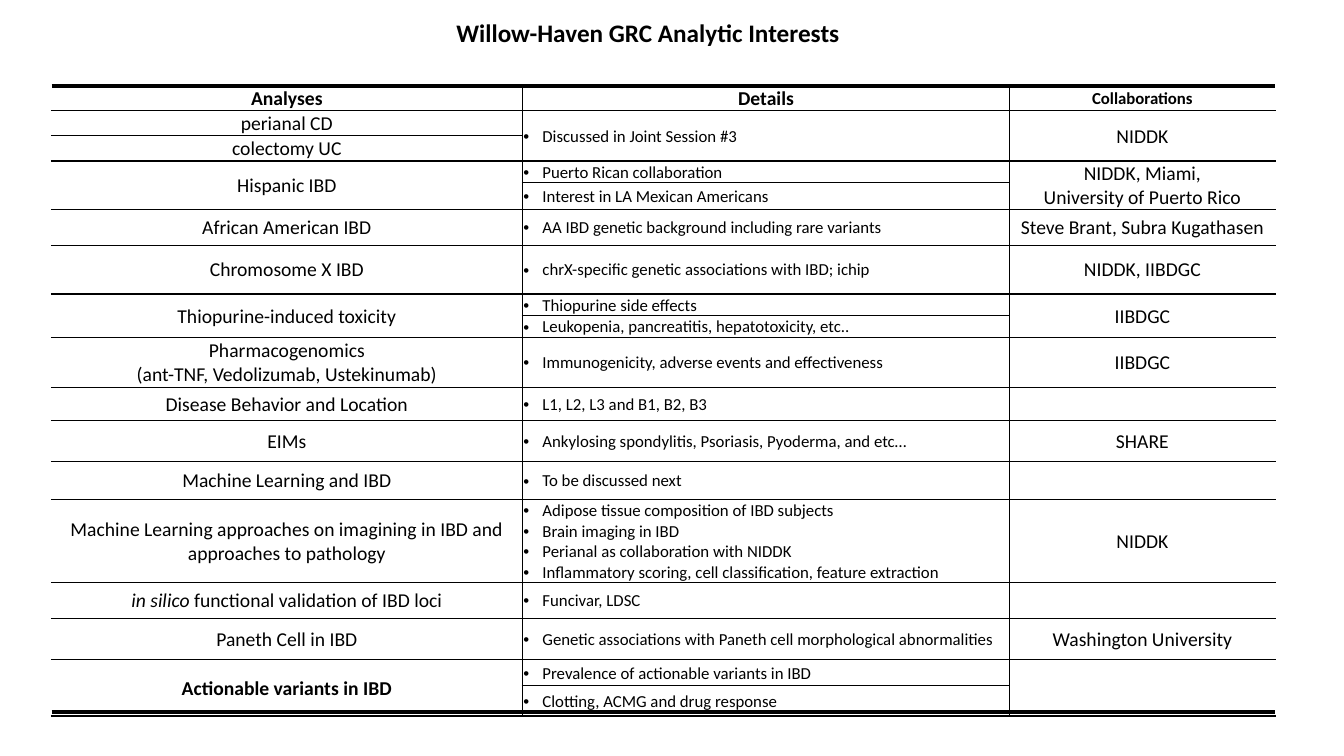
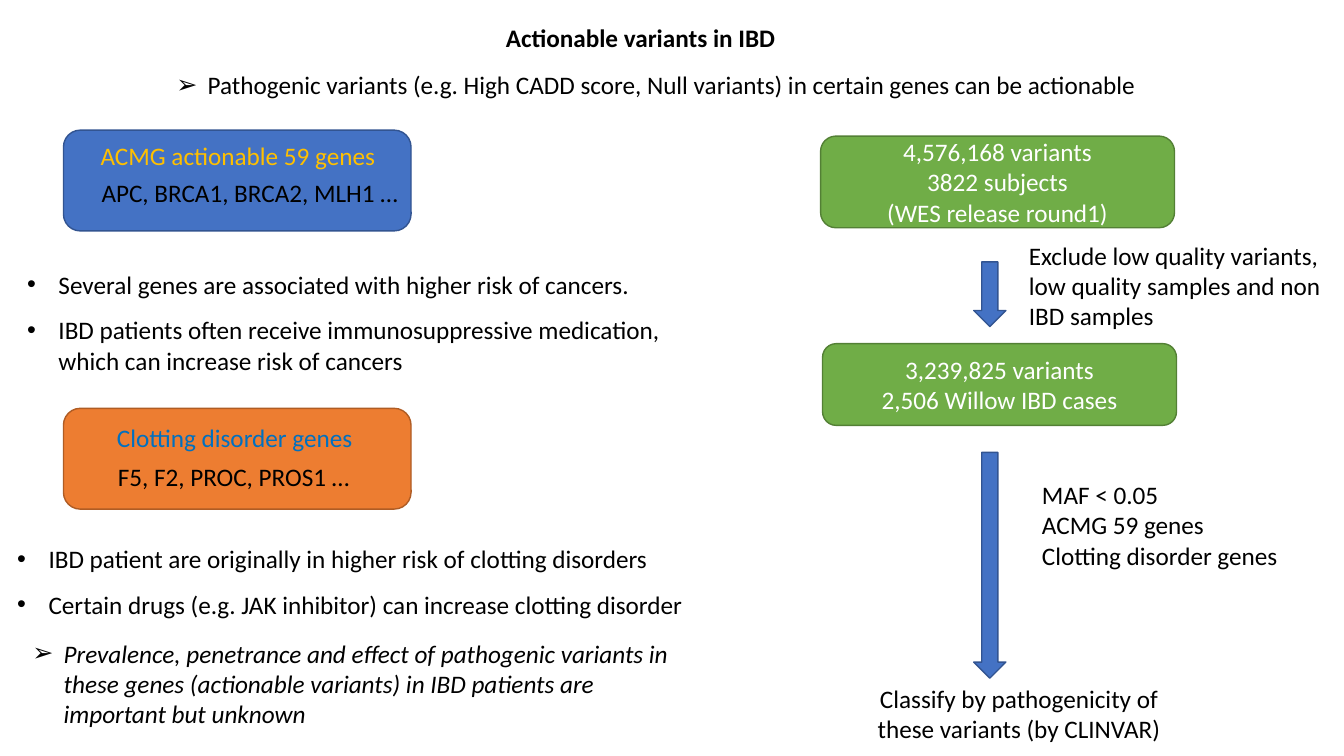
from lxml.etree import SubElement
from pptx import Presentation
from pptx.dml.color import RGBColor
from pptx.enum.shapes import MSO_CONNECTOR, MSO_SHAPE
from pptx.enum.text import MSO_ANCHOR, MSO_AUTO_SIZE, PP_ALIGN
from pptx.oxml.ns import qn
from pptx.util import Cm, Pt

# Shared style
FONT = "Calibri"
BLACK, WHITE = "000000", "FFFFFF"
BLUE, BLUE_EDGE = "4472C4", "325491"
GREEN, GREEN_EDGE = "70AD47", "538035"
ORANGE, ORANGE_EDGE = "ED7D31", "AF5C24"
GOLD, DEEP_BLUE = "FFC000", "0070C0"
TEXT_SIZE = 18
TITLE_HEIGHT = 1.02
LEFT, CENTER = PP_ALIGN.LEFT, PP_ALIGN.CENTER
DOT, ARROWHEAD = "•", "➢"
FOCUS = "Actionable variants in IBD"

# Table content: None continues the cell above, *...* is italic
TABLE_LEFT, TABLE_TOP = 1.3, 2.16
COLUMN_WIDTHS = (11.86, 12.29, 6.68)
HEADER_SIZES, BODY_SIZES = (14, 14, 12), (14, 12, 14)
INTERESTS = [
    (0.63, "Analyses", "Details", "Collaborations"),
    (0.62, "perianal CD", "Discussed in Joint Session #3", "NIDDK"),
    (0.62, "colectomy UC", None, None),
    (0.54, "Hispanic IBD", "Puerto Rican collaboration",
     "NIDDK, Miami,\nUniversity of Puerto Rico"),
    (0.68, None, "Interest in LA Mexican Americans", None),
    (0.89, "African American IBD",
     "AA IBD genetic background including rare variants",
     "Steve Brant, Subra Kugathasen"),
    (1.23, "Chromosome X IBD",
     "chrX-specific genetic associations with IBD; ichip", "NIDDK, IIBDGC"),
    (0.54, "Thiopurine-induced toxicity", "Thiopurine side effects", "IIBDGC"),
    (0.55, None, "Leukopenia, pancreatitis, hepatotoxicity, etc..", None),
    (1.25, "Pharmacogenomics\n(ant-TNF, Vedolizumab, Ustekinumab)",
     "Immunogenicity, adverse events and effectiveness", "IIBDGC"),
    (0.84, "Disease Behavior and Location", "L1, L2, L3 and B1, B2, B3", ""),
    (1.04, "EIMs", "Ankylosing spondylitis, Psoriasis, Pyoderma, and etc…",
     "SHARE"),
    (0.95, "Machine Learning and IBD", "To be discussed next", ""),
    (2.05, "Machine Learning approaches on imagining in IBD and "
     "approaches to pathology",
     "Adipose tissue composition of IBD subjects\nBrain imaging in IBD\n"
     "Perianal as collaboration with NIDDK\n"
     "Inflammatory scoring, cell classification, feature extraction",
     "NIDDK"),
    (0.9, "*in silico* functional validation of IBD loci", "Funcivar, LDSC",
     ""),
    (1.04, "Paneth Cell in IBD",
     "Genetic associations with Paneth cell morphological abnormalities",
     "Washington University"),
    (0.66, FOCUS, "Prevalence of actionable variants in IBD", ""),
    (0.76, None, "Clotting, ACMG and drug response", None),
]


def rgb(value):
    return RGBColor.from_string(value)


# Text
def add_bullet(paragraph, mark, indent):
    properties = paragraph._p.get_or_add_pPr()
    properties.set("marL", str(Cm(indent)))
    properties.set("indent", str(-Cm(indent)))
    SubElement(properties, qn("a:buFont")).set("typeface", "Arial")
    SubElement(properties, qn("a:buChar")).set("char", mark)


def write(frame, text, size=TEXT_SIZE, color=BLACK, align=LEFT, bold=False,
          italic=False, bullet=None, indent=0.79, gap=0):
    """Write one paragraph per line of text."""
    for number, line in enumerate(text.split("\n")):
        paragraph = frame.add_paragraph() if number else frame.paragraphs[0]
        paragraph.alignment = align
        paragraph.space_before = Pt(gap if number else 0)
        if bullet:
            add_bullet(paragraph, bullet, indent)
        for position, part in enumerate(line.split("*")):
            if not part:
                continue
            run = paragraph.add_run()
            run.text = part
            font = run.font
            font.name, font.size = FONT, Pt(size)
            font.bold = bold
            font.italic = italic or position % 2 == 1
            font.color.rgb = rgb(color)


def place(shape, left, top, width, height):
    shape.left, shape.top = Cm(left), Cm(top)
    shape.width, shape.height = Cm(width), Cm(height)


def fill_placeholder(placeholder, box, text, anchor=MSO_ANCHOR.TOP, **style):
    place(placeholder, *box)
    frame = placeholder.text_frame
    frame.word_wrap = True
    frame.auto_size = MSO_AUTO_SIZE.NONE
    frame.vertical_anchor = anchor
    write(frame, text, **style)


def add_title(slide, left, top, width, text, size=TEXT_SIZE):
    fill_placeholder(slide.shapes.title, (left, top, width, TITLE_HEIGHT),
                     text, align=CENTER, bold=True, size=size)


def add_label(slide, left, top, width, height, text, **style):
    label = slide.shapes.add_textbox(Cm(left), Cm(top), Cm(width), Cm(height))
    label.text_frame.word_wrap = True
    write(label.text_frame, text, **style)


# Shapes and lines
def add_block(slide, kind, left, top, width, height, fill, edge, text=""):
    block = slide.shapes.add_shape(kind, Cm(left), Cm(top), Cm(width),
                                   Cm(height))
    block.shadow.inherit = False
    block.fill.solid()
    block.fill.fore_color.rgb = rgb(fill)
    block.line.color.rgb = rgb(edge)
    block.line.width = Pt(1)
    if text:
        block.text_frame.vertical_anchor = MSO_ANCHOR.MIDDLE
        write(block.text_frame, text, color=WHITE, align=CENTER)


def add_rule(slide, left, top, width):
    rule = slide.shapes.add_connector(MSO_CONNECTOR.STRAIGHT, Cm(left),
                                      Cm(top), Cm(left + width), Cm(top))
    rule.line.color.rgb = rgb(BLACK)
    rule.line.width = Pt(3)
    SubElement(rule._element.spPr, qn("a:effectLst"))


# Table
def set_borders(cell, sides):
    properties = cell._tc.get_or_add_tcPr()
    for side in sides:
        line = SubElement(properties, qn(f"a:ln{side}"), w=str(Pt(1)))
        color = SubElement(SubElement(line, qn("a:solidFill")),
                           qn("a:srgbClr"))
        color.set("val", BLACK)


def format_cell(cell, column):
    set_borders(cell, ("RTB", "LRTB", "LTB")[column])
    cell.fill.solid()
    cell.fill.fore_color.rgb = rgb(WHITE)
    cell.vertical_anchor = MSO_ANCHOR.MIDDLE
    cell.margin_left = cell.margin_right = cell.margin_top = Cm(0.03)
    cell.margin_bottom = 0


def add_interests_table(slide):
    width = sum(COLUMN_WIDTHS)
    height = sum(row[0] for row in INTERESTS)
    table = slide.shapes.add_table(
        len(INTERESTS), len(COLUMN_WIDTHS), Cm(TABLE_LEFT), Cm(TABLE_TOP),
        Cm(width), Cm(height)).table
    table.first_row = table.horz_banding = False
    for column, column_width in enumerate(COLUMN_WIDTHS):
        table.columns[column].width = Cm(column_width)

    for row, (row_height, *texts) in enumerate(INTERESTS):
        table.rows[row].height = Cm(row_height)
        sizes = BODY_SIZES if row else HEADER_SIZES
        for column, text in enumerate(texts):
            cell = table.cell(row, column)
            format_cell(cell, column)
            if text:
                is_detail = row > 0 and column == 1
                write(cell.text_frame, text, size=sizes[column],
                      align=LEFT if is_detail else CENTER,
                      bold=row == 0 or text == FOCUS,
                      bullet=DOT if is_detail else None, indent=0.48)
                continue
            # Small type keeps an empty cell from stretching its row
            paragraph = cell.text_frame.paragraphs[0]._p
            SubElement(paragraph, qn("a:endParaRPr"), sz="1200")
            if text is None:
                table.cell(row - 1, column).merge(cell)

    for top in (TABLE_TOP, TABLE_TOP + height):
        add_rule(slide, TABLE_LEFT, top, width)


# Slides
def build_interests(deck):
    slide = deck.slides.add_slide(deck.slide_layouts[5])
    add_title(slide, 11.15, 0.3, 10.36, "Willow-Haven GRC Analytic Interests")
    add_interests_table(slide)


def build_variants(deck):
    slide = deck.slides.add_slide(deck.slide_layouts[4])
    add_title(slide, 11.51, 0.43, 9.27, FOCUS)

    # Statements and lists in the four body placeholders
    statements = [
        ((4.19, 1.63, 25.91, 1.02), ARROWHEAD, False,
         "Pathogenic variants (e.g. High CADD score, Null variants) "
         "in certain genes can be actionable"),
        ((0.43, 6.65, 17.2, 3.71), DOT, False,
         "Several genes are associated with higher risk of cancers.\n"
         "IBD patients often receive immunosuppressive medication, "
         "which can increase risk of cancers"),
        ((0.18, 13.56, 18.47, 2.18), DOT, False,
         "IBD patient are originally in higher risk of clotting disorders\n"
         "Certain drugs (e.g. JAK inhibitor) can increase clotting disorder"),
        ((0.56, 15.95, 17.15, 2.57), ARROWHEAD, True,
         "Prevalence, penetrance and effect of pathogenic variants in these "
         "genes (actionable variants) in IBD patients are important but "
         "unknown"),
    ]
    bodies = list(slide.placeholders)[1:]
    for body, (box, mark, italic, text) in zip(bodies, statements):
        fill_placeholder(body, box, text, bullet=mark, italic=italic, gap=11)

    # Gene groups
    rounded = MSO_SHAPE.ROUNDED_RECTANGLE
    for top, fill, edge in ((3.28, BLUE, BLUE_EDGE),
                            (10.29, ORANGE, ORANGE_EDGE)):
        add_block(slide, rounded, 1.6, top, 8.76, 2.54, fill, edge)
    add_label(slide, 1.32, 3.4, 9.35, 1.02, "ACMG actionable 59 genes",
              color=GOLD, align=CENTER)
    add_label(slide, 2.31, 4.34, 8.2, 1.02, "APC, BRCA1, BRCA2, MLH1 …")
    add_label(slide, 2.31, 10.52, 7.21, 1.02, "Clotting disorder genes",
              color=DEEP_BLUE, align=CENTER)
    add_label(slide, 2.72, 11.51, 6.6, 1.02, "F5, F2, PROC, PROS1 …")

    # Filtering flow
    for left, top, height, text in (
            (20.68, 3.43, 2.31, "4,576,168 variants\n3822 subjects\n"
                                "(WES release round1)"),
            (20.73, 8.66, 2.06, "3,239,825 variants\n"
                                "2,506 Willow IBD cases")):
        add_block(slide, rounded, left, top, 8.92, height, GREEN, GREEN_EDGE,
                  text)
    for top, height in ((6.6, 1.63), (11.4, 5.69)):
        add_block(slide, MSO_SHAPE.DOWN_ARROW, 24.54, top, 0.81, height,
                  BLUE, BLUE_EDGE)
    add_label(slide, 25.68, 5.92, 8.53, 2.57,
              "Exclude low quality variants, low quality samples and non "
              "IBD samples")
    add_label(slide, 26.01, 11.96, 7.8, 2.57,
              "MAF < 0.05\nACMG 59 genes\nClotting disorder genes")
    add_label(slide, 21.77, 17.09, 7.82, 1.8,
              "Classify by pathogenicity of these variants (by CLINVAR)",
              align=CENTER)


def main():
    deck = Presentation()
    deck.slide_width, deck.slide_height = Cm(33.87), Cm(19.05)
    build_interests(deck)
    build_variants(deck)
    deck.save("out.pptx")


if __name__ == "__main__":
    main()
